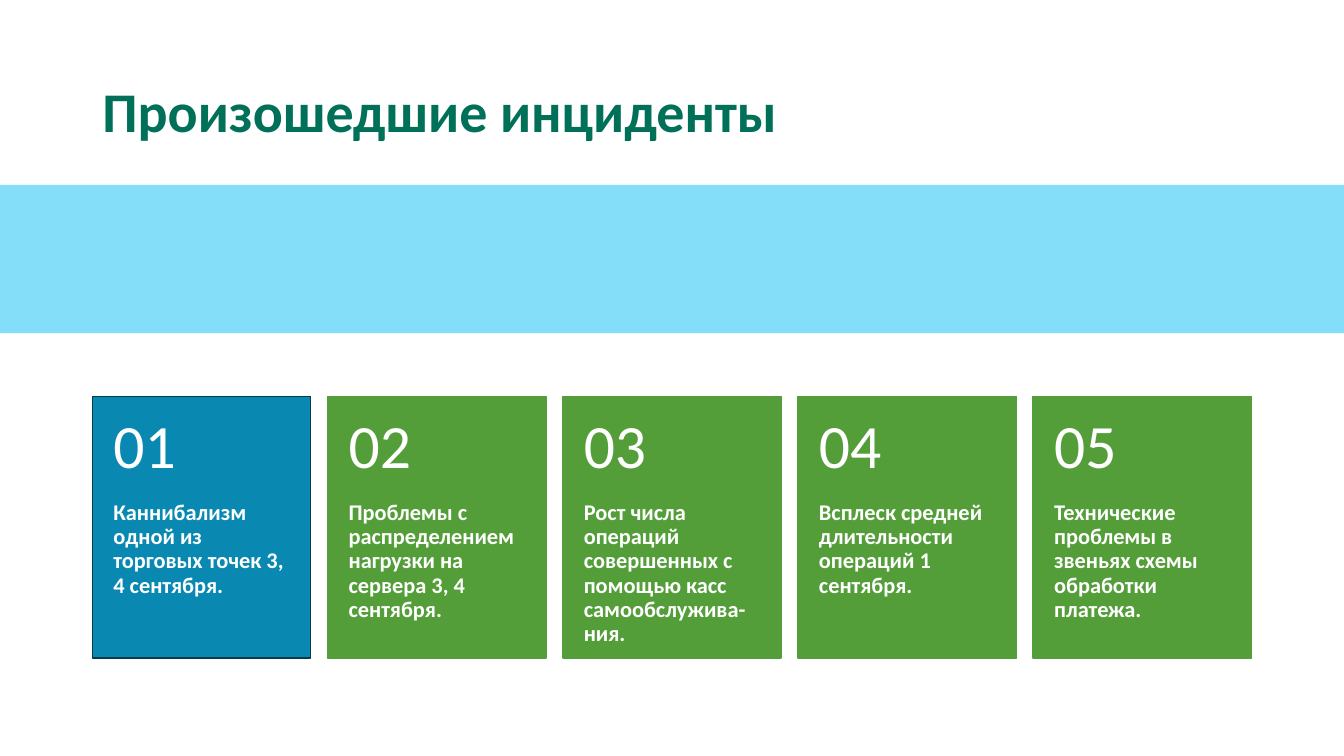
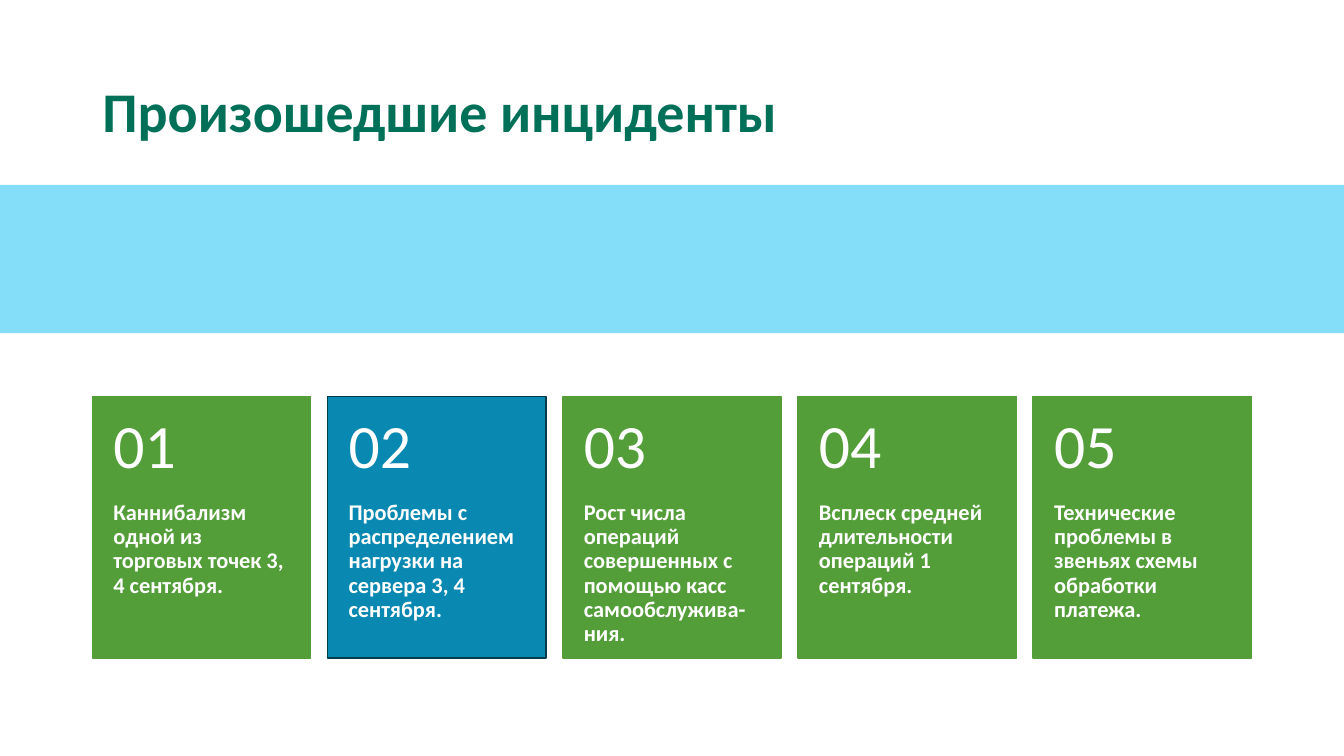
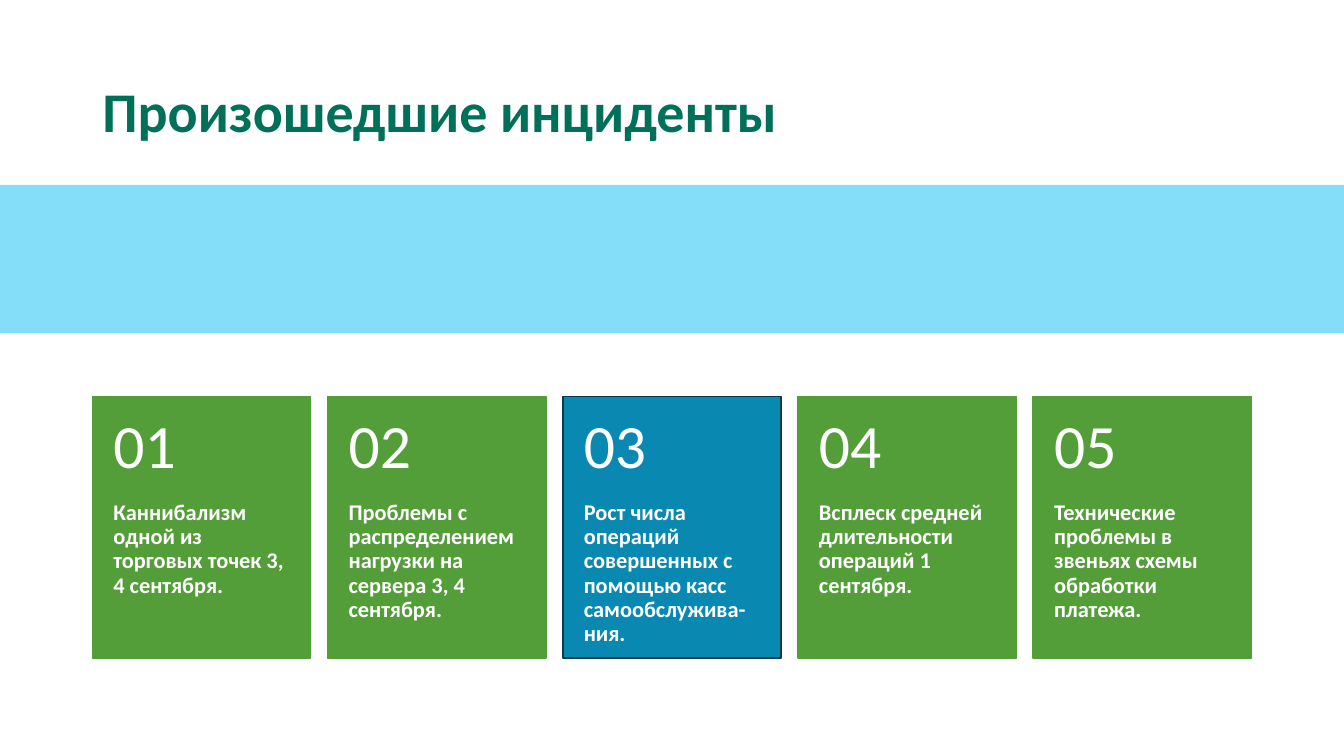
from dataclasses import dataclass

from pptx import Presentation
from pptx.dml.color import RGBColor
from pptx.enum.shapes import MSO_SHAPE
from pptx.enum.text import MSO_ANCHOR, PP_ALIGN
from pptx.util import Pt


@dataclass(frozen=True)
class Theme:
    font: str = "Calibri"
    heading: str = "017058"
    band: str = "84DDF9"
    card: str = "549E39"
    active: str = "0989B1"
    active_edge: str = "043C4E"
    on_card: str = "FFFFFF"
    title_size: int = 40
    number_size: int = 44
    body_size: int = 16


SLIDE_WIDTH, SLIDE_HEIGHT = 960, 540
MARGIN = 66
CONTENT_WIDTH = SLIDE_WIDTH - 2 * MARGIN
CARD_GAP = 12
CARD_TOP, CARD_HEIGHT = 283, 187
NUMBER_HEIGHT = 75

HEADING = "Произошедшие инциденты"
INCIDENTS = [
    "Каннибализм одной из торговых точек 3, 4 сентября.",
    "Проблемы с распределением нагрузки на сервера 3, 4 сентября.",
    "Рост числа операций совершенных с помощью касс самообслужива-ния.",
    "Всплеск средней длительности операций 1 сентября.",
    "Технические проблемы в звеньях схемы обработки платежа.",
]


class Deck:
    def __init__(self, theme):
        self.theme = theme
        self.presentation = Presentation()
        self.presentation.slide_width = Pt(SLIDE_WIDTH)
        self.presentation.slide_height = Pt(SLIDE_HEIGHT)
        self.layout = self.presentation.slide_layouts.get_by_name("Title Only")
        self.slide = None

    def start_slide(self, heading):
        is_first = self.slide is None
        self.slide = self.presentation.slides.add_slide(self.layout)
        if is_first:
            self.share_band()
        title = self.slide.shapes.title
        title.left, title.top = Pt(MARGIN), Pt(54)
        title.width, title.height = Pt(CONTENT_WIDTH), Pt(104)
        self.set_text(title, heading, self.theme.title_size,
                      self.theme.heading, True, MSO_ANCHOR.MIDDLE,
                      (7.2, 3.6, 7.2, 52))

    def share_band(self):
        band = self.rectangle(self.slide.shapes, (0, 132, SLIDE_WIDTH, 106),
                              self.theme.band)
        self.layout.placeholders[0].element.addprevious(band.element)

    def rectangle(self, shapes, box, fill, edge=None):
        rectangle = shapes.add_shape(MSO_SHAPE.RECTANGLE, *map(Pt, box))
        rectangle.shadow.inherit = False
        rectangle.fill.solid()
        rectangle.fill.fore_color.rgb = RGBColor.from_string(fill)
        if edge:
            rectangle.line.color.rgb = RGBColor.from_string(edge)
            rectangle.line.width = Pt(1)
        else:
            rectangle.line.fill.background()
        return rectangle

    def set_text(self, holder, text, size, color, bold, anchor, insets):
        frame = holder.text_frame
        frame.text = text
        frame.word_wrap = True
        frame.vertical_anchor = anchor
        (frame.margin_left, frame.margin_top,
         frame.margin_right, frame.margin_bottom) = map(Pt, insets)
        paragraph = frame.paragraphs[0]
        paragraph.alignment = PP_ALIGN.LEFT
        paragraph.line_spacing = 0.9
        font = paragraph.runs[0].font
        font.name, font.size, font.bold = self.theme.font, Pt(size), bold
        font.color.rgb = RGBColor.from_string(color)

    def card(self, shapes, left, width, number, incident, is_active):
        theme = self.theme
        fill, edge = ((theme.active, theme.active_edge) if is_active
                      else (theme.card, theme.card))
        self.rectangle(shapes, (left, CARD_TOP, width, CARD_HEIGHT), fill, edge)
        description = shapes.add_textbox(
            Pt(left), Pt(CARD_TOP + NUMBER_HEIGHT),
            Pt(width), Pt(CARD_HEIGHT - NUMBER_HEIGHT))
        self.set_text(description, incident, theme.body_size, theme.on_card,
                      True, MSO_ANCHOR.TOP, (15, 0, 15, 26))
        counter = shapes.add_textbox(
            Pt(left), Pt(CARD_TOP), Pt(width), Pt(NUMBER_HEIGHT))
        self.set_text(counter, f"{number:02}", theme.number_size, theme.on_card,
                      False, MSO_ANCHOR.MIDDLE, (15, 13, 15, 13))

    def card_row(self, incidents, active):
        row = self.slide.shapes.add_group_shape()
        width = (CONTENT_WIDTH + CARD_GAP) / len(incidents) - CARD_GAP
        for index, incident in enumerate(incidents):
            left = MARGIN + index * (width + CARD_GAP)
            self.card(row.shapes, left, width, index + 1, incident,
                      index == active)


def main():
    deck = Deck(Theme())
    for active in range(3):
        deck.start_slide(HEADING)
        deck.card_row(INCIDENTS, active)
    deck.presentation.save("out.pptx")


if __name__ == "__main__":
    main()
